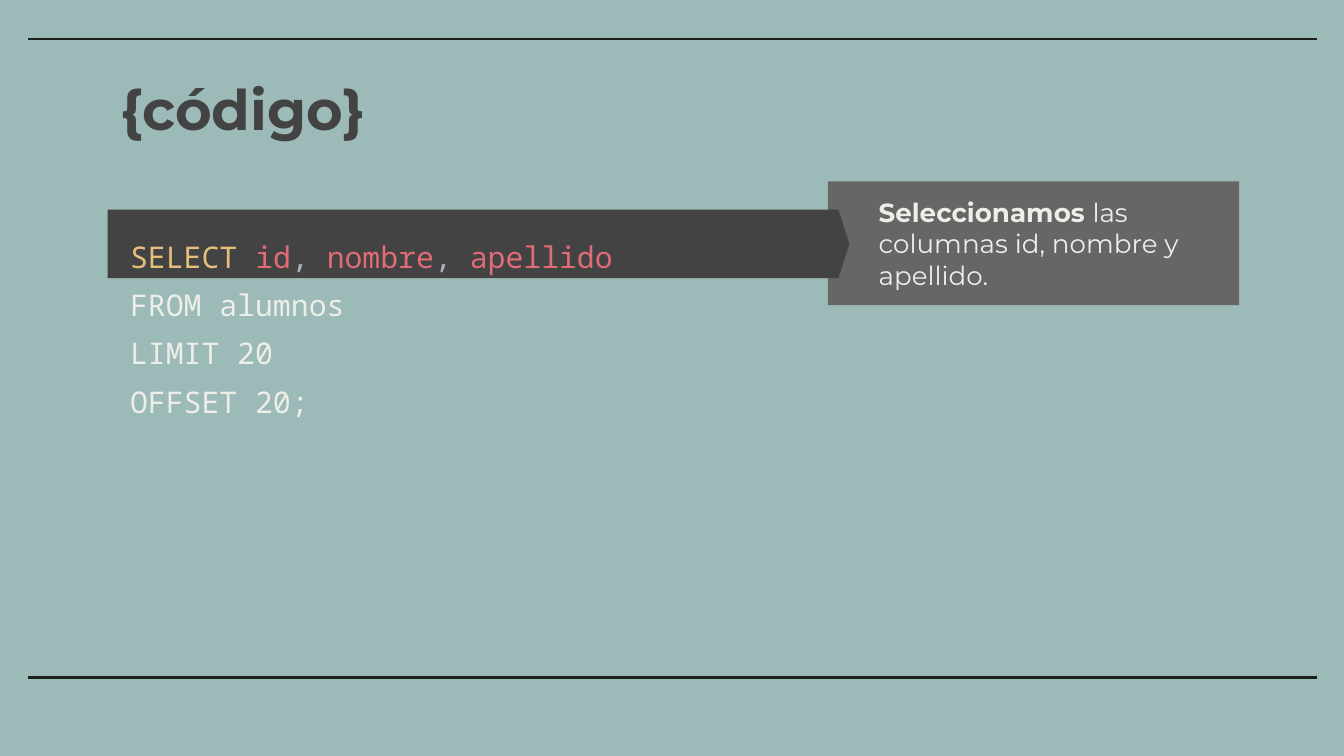
import pptx
import pptx.dml.color
import pptx.enum.shapes
import pptx.enum.text
import pptx.oxml.ns
import pptx.util
from lxml import etree
from pptx.util import Inches, Pt


def rgb(color):
    return pptx.dml.color.RGBColor.from_string(color)


def add_runs(p, runs, font, size):
    """Fill a paragraph with (text, color) runs in one font and size."""
    p.font.name = font
    p.font.size = Pt(size)
    for text, color in runs:
        r = p.add_run()
        r.text = text
        r.font.name = font
        r.font.size = Pt(size)
        r.font.color.rgb = rgb(color)


LIGHT, DARK, GRAY = "EEEEE9", "434343", "666666"
YELLOW, RED, SILVER = "E5C07B", "E06C75", "ABB2BF"
SHAPE = pptx.enum.shapes.MSO_SHAPE

prs = pptx.Presentation()
prs.slide_width = Inches(10)
prs.slide_height = Inches(10) * 9 // 16
s = prs.slides.add_slide(prs.slide_layouts[6])
s.background.fill.solid()
s.background.fill.fore_color.rgb = rgb("9CBAB7")

# Rules at the bottom and top
for y in (5.04, 0.29):
    rule = s.shapes.add_connector(
        pptx.enum.shapes.MSO_CONNECTOR.STRAIGHT,
        Inches(0.21), Inches(y), Inches(9.8), Inches(y))
    rule.line.color.rgb = rgb("1B2119")
    rule.line.width = Pt(1.5)
    etree.SubElement(rule._element.spPr, pptx.oxml.ns.qn("a:effectLst"))

# Explanation box, with the code highlight arrow over its left edge
note = s.shapes.add_shape(
    SHAPE.RECTANGLE, Inches(6.16), Inches(1.35), Inches(3.06), Inches(0.92))
highlight = s.shapes.add_shape(
    SHAPE.PENTAGON, Inches(0.8), Inches(1.56), Inches(5.52), Inches(0.51))
highlight.adjustments[0] = 0.16
for sp, color in ((note, GRAY), (highlight, DARK)):
    sp.shadow.inherit = False
    sp.fill.solid()
    sp.fill.fore_color.rgb = rgb(color)
    sp.line.fill.background()

tf = note.text_frame
tf.word_wrap = True
tf.vertical_anchor = pptx.enum.text.MSO_ANCHOR.MIDDLE
tf.margin_top = tf.margin_bottom = 0
p = tf.paragraphs[0]
p.alignment = pptx.enum.text.PP_ALIGN.LEFT
p._p.get_or_add_pPr().set("marL", str(Inches(0.28)))
add_runs(p, [("Seleccionamos ", LIGHT),
             ("las columnas id, nombre y apellido.", LIGHT)], "Montserrat", 14)
p.runs[0].font.bold = True

# Title and code
title = s.shapes.add_textbox(Inches(0.8), Inches(0.51), Inches(3.28), Inches(0.63))
code = s.shapes.add_textbox(Inches(0.87), Inches(1.58), Inches(5.36), Inches(0.92))
for box in (title, code):
    tf = box.text_frame
    tf.word_wrap = True
    tf.margin_left = tf.margin_right = tf.margin_top = tf.margin_bottom = Inches(0.1)

p = title.text_frame.paragraphs[0]
p.line_spacing = 0.9
add_runs(p, [("{código}", DARK)], "Montserrat", 30)
p.runs[0].font.bold = True

code_lines = [
    [("SELECT ", YELLOW), ("id", RED), (", ", SILVER), ("nombre", RED),
     (", ", SILVER), ("apellido", RED)],
    [("FROM alumnos", LIGHT)],
    [("LIMIT 20", LIGHT)],
    [("OFFSET 20;", LIGHT)],
]
tf = code.text_frame
for i, runs in enumerate(code_lines):
    p = tf.add_paragraph() if i else tf.paragraphs[0]
    p.line_spacing = 1.35
    add_runs(p, runs, "Noto Sans Mono", 16)

prs.save("out.pptx")
